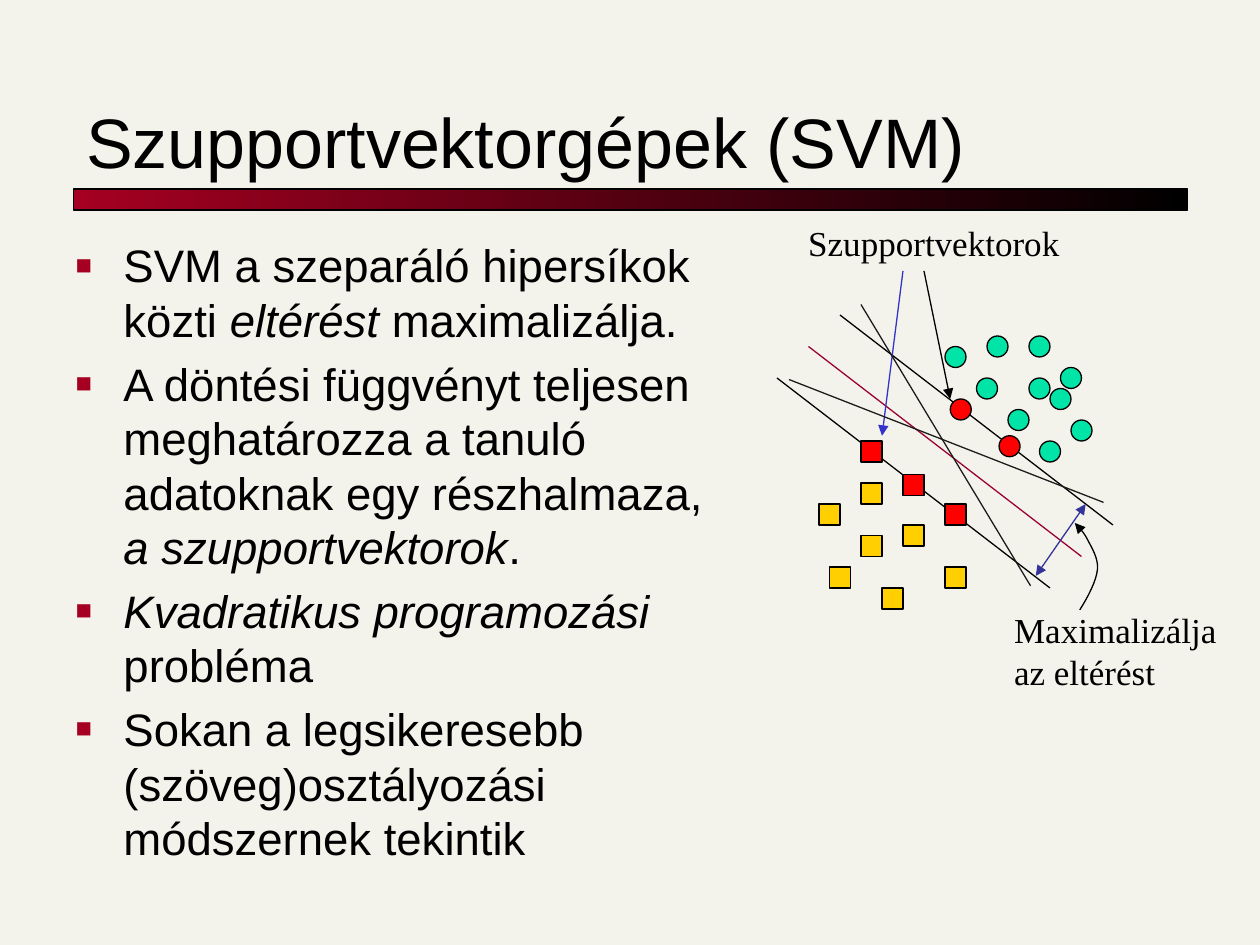
from dataclasses import dataclass
import pptx
import pptx.dml.color
import pptx.enum.dml
import pptx.enum.shapes
import pptx.enum.text
import pptx.oxml
import pptx.oxml.ns
import pptx.util

SHAPE = pptx.enum.shapes.MSO_SHAPE
ANCHOR = pptx.enum.text.MSO_ANCHOR
CELL = 1 / 12
MARKER_CELLS = 2
BLACK, CRIMSON, RED, GREEN, YELLOW = "000000", "A50021", "FF0000", "00E4A8", "FFCF01"


@dataclass(frozen=True)
class MarkerSet:
    kind: SHAPE
    color: str
    cells: tuple[tuple[float, float], ...]


@dataclass(frozen=True)
class Line:
    start: tuple[float, float]
    end: tuple[float, float]
    color: str = BLACK
    head: bool = False
    tail: bool = False


@dataclass(frozen=True)
class Label:
    column: float
    row: float
    width: float
    height: float
    lines: tuple[str, ...]


POINTS = [
    MarkerSet(SHAPE.OVAL, GREEN, (
        (94, 32), (98, 36), (96, 39), (102, 40), (99, 42),
        (98, 32), (90, 33), (100, 37), (101, 35), (93, 36))),
    MarkerSet(SHAPE.RECTANGLE, YELLOW, (
        (82, 46), (84, 56), (86, 50), (90, 54), (78, 48), (82, 51), (79, 54))),
]
SUPPORT_VECTORS = [
    MarkerSet(SHAPE.OVAL, RED, ((90.5, 38), (95.15, 41.5))),
    MarkerSet(SHAPE.RECTANGLE, RED, ((86, 45.2), (90, 48), (82, 42))),
]
LINES = [
    Line((77, 33), (103, 53), "990033"),
    Line((80, 30), (106, 50)),
    Line((74, 36), (100, 56)),
    Line((86, 25.8), (84, 41.5), "3333CC", tail=True),
    Line((88, 25.8), (90.5, 38), tail=True),
    Line((98.65, 54.85), (103.4, 48), "333399", head=True, tail=True),
    Line((82, 29), (98.15, 55.8), "1C1C1C"),
    Line((75.15, 36.15), (105.1, 47.85), "1C1C1C"),
]
LABELS = [
    Label(75.8, 20.5, 27.1, 5.2, ("Szupportvektorok",)),
    Label(95.4, 57.4, 22.4, 9.2, ("Maximalizálja", "az eltérést")),
]
CURVE = [
    ((102.84, 58.08), (103.68, 56.76), (104.4, 55.32), (104.52, 54.24)),
    ((104.52, 54.24), (104.64, 53.16), (103.92, 52.08), (103.56, 51.36)),
    ((103.56, 51.36), (103.2, 50.64), (102.6, 50.04), (102.36, 49.8)),
]
BULLETS = [
    [("SVM a szeparáló hipersíkok közti ", False), ("eltérést", True), (" maximalizálja.", False)],
    [("A döntési függvényt teljesen meghatározza a tanuló adatoknak egy részhalmaza, ", False),
     ("a szupportvektorok", True), (".", False)],
    [("Kvadratikus programozási ", True), ("probléma", False)],
    [("Sokan a legsikeresebb (szöveg)osztályozási módszernek tekintik", False)],
]


def rgb(color: str) -> pptx.dml.color.RGBColor:
    return pptx.dml.color.RGBColor.from_string(color)


def cells(*values: float) -> list[int]:
    return [pptx.util.Inches(value * CELL) for value in values]


def add_element(parent, tag: str, **attributes: str):
    element = pptx.oxml.parse_xml(f"<a:{tag} {pptx.oxml.ns.nsdecls('a')}/>")
    for name, value in attributes.items():
        element.set(name, value)
    parent.append(element)
    return element


def write(para, text: str, *, size: float, font: str = "Arial", italic: bool = False) -> None:
    span = para.add_run()
    span.text = text
    span.font.size = pptx.util.Pt(size)
    span.font.name = font
    span.font.italic = italic
    span.font.color.rgb = rgb(BLACK)


def style_line(item, color: str = BLACK, head: bool = False, tail: bool = False) -> None:
    item.line.color.rgb = rgb(color)
    item.line.width = pptx.util.Pt(0.75)
    for tag, wanted in (("headEnd", head), ("tailEnd", tail)):
        if wanted:
            add_element(item.line._get_or_add_ln(), tag, type="triangle")


def draw_markers(page, group: MarkerSet) -> None:
    for column, row in group.cells:
        marker = page.shapes.add_shape(group.kind, *cells(column, row, MARKER_CELLS, MARKER_CELLS))
        marker.shadow.inherit = False
        marker.fill.solid()
        marker.fill.fore_color.rgb = rgb(group.color)
        style_line(marker)


def draw_line(page, line: Line) -> None:
    connector = page.shapes.add_connector(
        pptx.enum.shapes.MSO_CONNECTOR.STRAIGHT, *cells(*line.start, *line.end))
    style_line(connector, line.color, line.head, line.tail)
    add_element(connector._element.spPr, "effectLst")


def draw_label(page, label: Label) -> None:
    box = page.shapes.add_textbox(*cells(label.column, label.row, label.width, label.height))
    frame = box.text_frame
    frame.word_wrap = False
    for index, text in enumerate(label.lines):
        para = frame.add_paragraph() if index else frame.paragraphs[0]
        write(para, text, size=20, font="Times New Roman")


def draw_curve(page, steps: int = 8) -> None:
    points = []
    for controls in CURVE:
        for step in range(1, steps + 1):
            t = step / steps
            weights = ((1 - t) ** 3, 3 * t * (1 - t) ** 2, 3 * t * t * (1 - t), t ** 3)
            points.append(cells(*(
                sum(weight * point[axis] for weight, point in zip(weights, controls))
                for axis in (0, 1))))
    builder = page.shapes.build_freeform(*cells(*CURVE[0][0]))
    builder.add_line_segments(points, close=False)
    curve = builder.convert_to_shape()
    curve.shadow.inherit = False
    curve.fill.background()
    style_line(curve, tail=True)


def draw_rule(page) -> None:
    rule = page.shapes.add_shape(SHAPE.RECTANGLE, *cells(7, 18, 106.1, 2))
    rule.shadow.inherit = False
    rule.fill.gradient()
    rule.fill.gradient_angle = 0
    for stop, color, position in zip(rule.fill.gradient_stops, (CRIMSON, BLACK), (0, 1)):
        stop.color.rgb = rgb(color)
        stop.position = position
    style_line(rule)


def place(holder, column: float, row: float, width: float, height: float, anchor):
    holder.left, holder.top, holder.width, holder.height = cells(column, row, width, height)
    frame = holder.text_frame
    frame.auto_size = pptx.enum.text.MSO_AUTO_SIZE.NONE
    frame.vertical_anchor = anchor
    return frame


def fill_title(page) -> None:
    frame = place(page.shapes.title, 7, 5, 106, 13, ANCHOR.BOTTOM)
    frame.paragraphs[0].alignment = pptx.enum.text.PP_ALIGN.LEFT
    write(frame.paragraphs[0], "Szupportvektorgépek (SVM)", size=40)


def fill_body(page) -> None:
    frame = place(page.placeholders[1], 6, 22, 64, 64, ANCHOR.TOP)
    indent = pptx.util.Inches(0.38)
    for index, spans in enumerate(BULLETS):
        para = frame.add_paragraph() if index else frame.paragraphs[0]
        para.space_before = pptx.util.Pt(5.2)
        properties = para._p.get_or_add_pPr()
        properties.set("marL", str(indent))
        properties.set("indent", str(-indent))
        add_element(add_element(properties, "buClr"), "srgbClr", val=CRIMSON)
        add_element(properties, "buSzPct", val="60000")
        add_element(properties, "buFont", typeface="Arial")
        add_element(properties, "buChar", char="■")
        for text, italic in spans:
            write(para, text, size=26, italic=italic)


def main() -> None:
    deck = pptx.Presentation()
    deck.slide_width, deck.slide_height = cells(120, 90)
    page = deck.slides.add_slide(deck.slide_layouts[1])
    page.background.fill.solid()
    page.background.fill.fore_color.rgb = rgb("F4F3EB")
    draw_rule(page)
    fill_title(page)
    for group in POINTS:
        draw_markers(page, group)
    for line in LINES:
        draw_line(page, line)
    for label in LABELS:
        draw_label(page, label)
    draw_curve(page)
    for group in SUPPORT_VECTORS:
        draw_markers(page, group)
    fill_body(page)
    deck.save("out.pptx")


if __name__ == "__main__":
    main()
